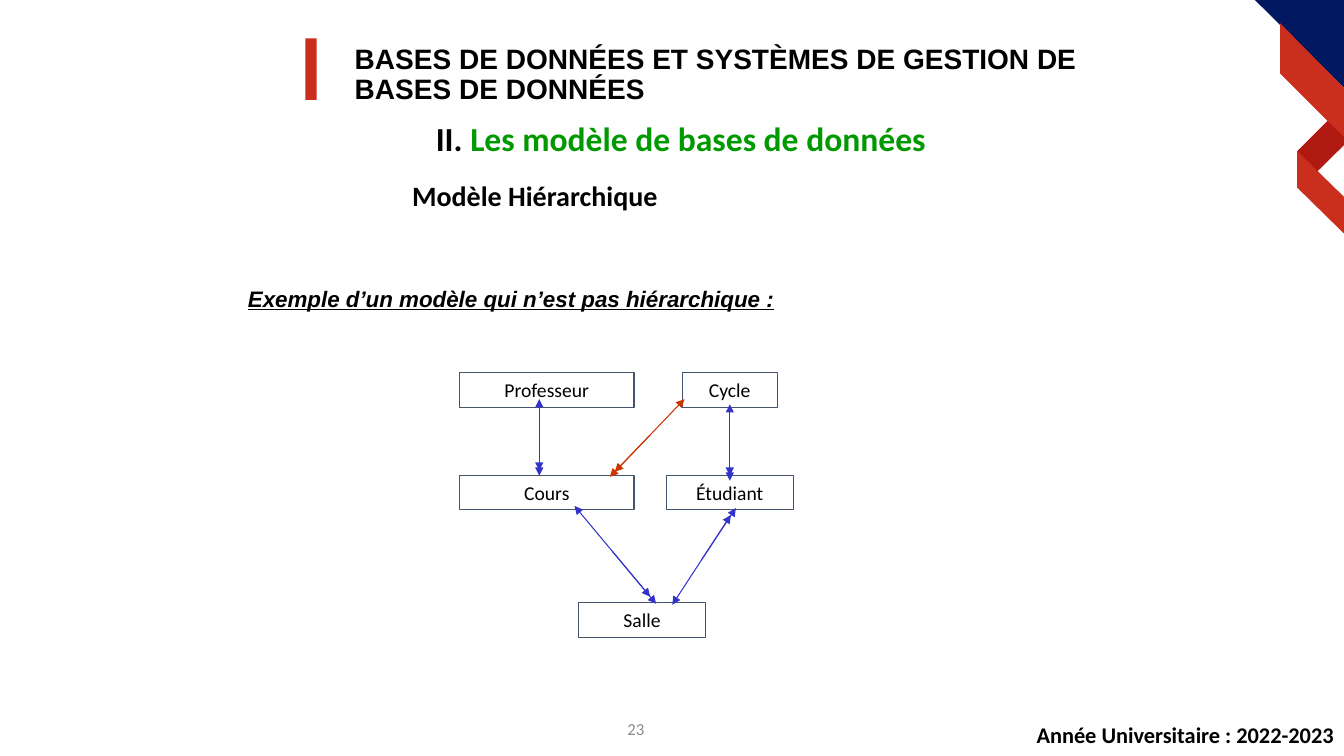
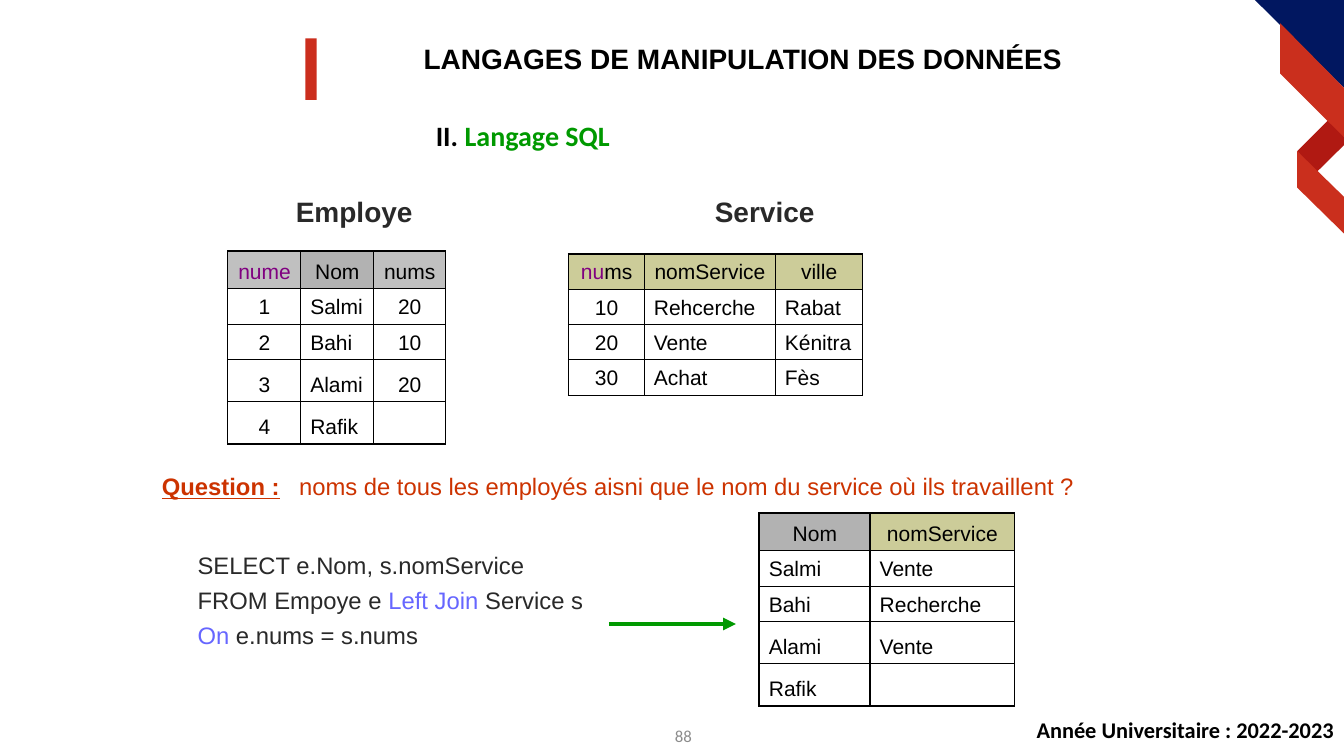
import pptx
import pptx.dml.color
import pptx.enum.shapes
import pptx.enum.text
import pptx.oxml
import pptx.oxml.ns
import pptx.util
from lxml import etree

Pt = pptx.util.Pt
ALIGN = pptx.enum.text.PP_ALIGN
ANCHOR = pptx.enum.text.MSO_ANCHOR

SLIDE_SIZE = (960, 540)
BLACK, GREY, GREEN, NAVY = "000000", "8C8C8C", "009900", "011760"
RED, BRIGHT_RED, DARK_RED = "CB2E1D", "CA2F1D", "B01912"
INK, ORANGE, BLUE, SLATE = "292929", "CC3300", "3333CC", "44546A"
PURPLE, KEYWORD = "800080", "6666FF"
SILVER, DARK_SILVER, KHAKI = "C0C0C0", "B2B2B2", "CCCC99"

TITLE = {"name": "Arial", "size": Pt(20), "bold": True, "color": BLACK}
SECTION = {"name": "Calibri", "size": Pt(24), "bold": True, "color": BLACK}
SUBHEADING = {**SECTION, "size": Pt(20)}
FOOTER = {**SECTION, "size": Pt(16)}
PAGE_NUMBER = {"name": "Calibri", "size": Pt(12), "color": GREY}
NODE = {"name": "Calibri", "size": Pt(14), "color": BLACK}
EXAMPLE = {**TITLE, "size": Pt(16), "italic": True, "underline": True}
TABLE_NAME = {**TITLE, "color": INK}
CELL = {"name": "Arial", "size": Pt(15), "color": BLACK}
QUERY = {"name": "Arial", "size": Pt(17), "color": INK}
QUESTION = {**QUERY, "color": ORANGE}

RIBBON = [
    (DARK_RED, [(949.7, 85), (960, 97.6), (960, 103.7), (939.6, 123.8), (926.6, 108)]),
    (NAVY, [(896.4, 0), (960, 0), (960, 62.8)]),
    (BRIGHT_RED, [(926.6, 108), (960, 140.6), (960, 166.8), (926.6, 134)]),
    (BRIGHT_RED, [(914.4, 16.6), (960, 62.8), (960, 98), (914.4, 52.6)]),
]


def rgb(color):
    return pptx.dml.color.RGBColor.from_string(color)


def points(*lengths):
    return [Pt(length) for length in lengths]


def set_font(font, style):
    for attribute, value in style.items():
        if attribute == "color":
            font.color.rgb = rgb(value)
        else:
            setattr(font, attribute, value)


def write(paragraph, runs, style, **layout):
    """Fill a paragraph with (text, style changes) runs."""
    for attribute, value in layout.items():
        setattr(paragraph, attribute, value)
    set_font(paragraph.font, style)
    for text, changes in runs:
        run = paragraph.add_run()
        run.text = text
        set_font(run.font, {**style, **changes})


def add_text(slide, box, runs, style, anchor=ANCHOR.TOP, **layout):
    frame = slide.shapes.add_textbox(*points(*box)).text_frame
    frame.word_wrap = True
    frame.vertical_anchor = anchor
    write(frame.paragraphs[0], runs, style, **layout)
    return frame


def fill_plain(shape, color):
    shape.shadow.inherit = False
    shape.fill.solid()
    shape.fill.fore_color.rgb = rgb(color)
    shape.line.fill.background()


def add_ribbon(slide):
    for color, corners in RIBBON:
        start, *others = [tuple(points(*corner)) for corner in corners]
        builder = slide.shapes.build_freeform(*start, scale=1.0)
        builder.add_line_segments(others, close=True)
        fill_plain(builder.convert_to_shape(), color)


def add_arrow(slide, start, end, color, width=0.75, double=False):
    arrow = slide.shapes.add_connector(
        pptx.enum.shapes.MSO_CONNECTOR.STRAIGHT, *points(*start, *end))
    arrow.line.color.rgb = rgb(color)
    arrow.line.width = Pt(width)
    line = arrow.line._get_or_add_ln()
    for tag in ["a:headEnd", "a:tailEnd"] if double else ["a:tailEnd"]:
        etree.SubElement(line, pptx.oxml.ns.qn(tag), type="triangle")
    etree.SubElement(arrow._element.spPr, pptx.oxml.ns.qn("a:effectLst"))


def add_frame(presentation, title, title_align, section, section_size,
              footer_top, number, number_position):
    """Start a slide with the title, section line, ribbon and footer."""
    slide = presentation.slides.add_slide(presentation.slide_layouts[5])
    add_ribbon(slide)
    bar = slide.shapes.add_shape(
        pptx.enum.shapes.MSO_SHAPE.RECTANGLE, *points(218.2, 27.4, 7.9, 43.9))
    fill_plain(bar, RED)

    heading = slide.shapes.title
    heading.left, heading.top, heading.width, heading.height = points(246.2, 28.8, 568.8, 46.8)
    frame = heading.text_frame
    frame.auto_size = pptx.enum.text.MSO_AUTO_SIZE.NONE
    frame.word_wrap = True
    frame.vertical_anchor = ANCHOR.TOP
    write(frame.paragraphs[0], [(title, {})], TITLE,
          alignment=title_align, line_spacing=0.9)

    add_text(slide, (304.2, 84.2, 560, 36), [("II. ", {}), (section, {"color": GREEN})],
             {**SECTION, "size": Pt(section_size)}, line_spacing=0.9)
    add_text(slide, (660, footer_top, 300, 26), [("Année Universitaire : 2022-2023", {})],
             FOOTER, alignment=ALIGN.RIGHT)
    add_text(slide, (*number_position, 216, 28.8), [(number, {})], PAGE_NUMBER,
             ANCHOR.MIDDLE, alignment=ALIGN.CENTER)
    return slide


def add_node(slide, name, left, top, width):
    node = slide.shapes.add_shape(
        pptx.enum.shapes.MSO_SHAPE.RECTANGLE, *points(left, top, width, 24.5))
    node.shadow.inherit = False
    node.fill.background()
    node.line.color.rgb = rgb(SLATE)
    node.line.width = Pt(0.75)
    frame = node.text_frame
    frame.margin_top = frame.margin_bottom = 0
    frame.vertical_anchor = ANCHOR.MIDDLE
    write(frame.paragraphs[0], [(name, {})], NODE, alignment=ALIGN.CENTER)


def add_link(slide, start, end, tip, color):
    """Two-way arrow whose far end carries a second arrowhead at tip."""
    middle = [(a + b) / 2 for a, b in zip(start, end)]
    add_arrow(slide, start, end, color, double=True)
    add_arrow(slide, middle, tip, color)


def add_diagram(slide, left, top):
    nodes = [
        ("Professeur", 0, 0, 124.6),
        ("Cycle", 159.1, 0, 67.7),
        ("Cours", 0, 73.4, 124.6),
        ("Étudiant", 147.6, 73.4, 90.7),
        ("Salle", 85, 164.2, 90.7),
    ]
    links = [
        ((56.9, 18.7), (56.9, 69.8), (56.9, 73.4), BLUE),
        ((151.9, 165.6), (193.7, 101.5), (197.3, 96.5), BLUE),
        ((82.1, 95), (136.1, 159.8), (140.4, 164.9), BLUE),
        ((193, 22.3), (193, 73.4), (193, 77), BLUE),
        ((160.6, 18.7), (110.9, 70.6), (107.3, 74.2), ORANGE),
    ]
    for name, x, y, width in nodes:
        add_node(slide, name, left + x, top + y, width)
    for *places, color in links:
        add_link(slide, *[(left + x, top + y) for x, y in places], color)


def set_borders(cell):
    properties = cell._tc.get_or_add_tcPr()
    for position, side in enumerate(["lnL", "lnR", "lnT", "lnB"]):
        border = pptx.oxml.parse_xml(
            f'<a:{side} {pptx.oxml.ns.nsdecls("a")} w="12700"><a:solidFill>'
            f'<a:srgbClr val="{BLACK}"/></a:solidFill></a:{side}>')
        properties.insert(position, border)


def add_table(slide, left, top, widths, heights, header, rows, centred=()):
    """Header cells are (fill, runs); centred lists the centred body columns."""
    table = slide.shapes.add_table(
        len(heights), len(widths),
        *points(left, top, sum(widths), sum(heights))).table
    for column, width in zip(table.columns, widths):
        column.width = Pt(width)
    for row, height in zip(table.rows, heights):
        row.height = Pt(height)
    body = [[(None, [(text, {})] if text else []) for text in row] for row in rows]
    for row_index, row in enumerate([header] + body):
        for column_index, (fill, runs) in enumerate(row):
            cell = table.cell(row_index, column_index)
            cell.margin_left, cell.margin_right = points(7, 6.5)
            cell.vertical_anchor = ANCHOR.BOTTOM
            if fill:
                cell.fill.solid()
                cell.fill.fore_color.rgb = rgb(fill)
            else:
                cell.fill.background()
            set_borders(cell)
            centre = row_index == 0 or column_index in centred
            write(cell.text_frame.paragraphs[0], runs, CELL,
                  alignment=ALIGN.CENTER if centre else ALIGN.LEFT)


def add_question(slide, left, top):
    frame = add_text(slide, (left, top, 686, 30), [], QUESTION)
    paragraph = frame.paragraphs[0]
    tabs = pptx.oxml.parse_xml(
        f'<a:tabLst {pptx.oxml.ns.nsdecls("a")}><a:tab pos="{Pt(98)}" algn="l"/></a:tabLst>')
    properties = paragraph._p.get_or_add_pPr()
    properties.insert(0, tabs)
    write(paragraph, [
        ("Question :", {"bold": True, "underline": True}),
        ("\tnoms de tous les employés aisni que le nom du service où ils travaillent ?", {}),
    ], QUESTION)


def add_query(slide, left, top):
    keyword = {"color": KEYWORD}
    first, *others = [
        [("SELECT e.Nom, s.nomService", {})],
        [("FROM Empoye e ", {}), ("Left Join", keyword), (" Service s", {})],
        [("On ", keyword), ("e.nums = s.nums", {})],
    ]
    frame = add_text(slide, (left, top, 317.5, 79.2), first, QUERY)
    for runs in others:
        write(frame.add_paragraph(), runs, QUERY, space_before=Pt(4.4))


def build_model_slide(presentation):
    slide = add_frame(
        presentation, "BASES DE DONNÉES ET SYSTÈMES DE GESTION DE BASES DE DONNÉES",
        ALIGN.LEFT, "Les modèle de bases de données", 24, 511.5, "23", (346.3, 506.2))
    add_text(slide, (287.3, 123.8, 260, 31.7), [("Modèle Hiérarchique", {})], SUBHEADING)
    add_text(slide, (170, 200, 600, 28),
             [("Exemple d’un modèle qui n’est pas hiérarchique :", {})], EXAMPLE)
    add_diagram(slide, 328.3, 266.4)


def build_query_slide(presentation):
    slide = add_frame(
        presentation, "LANGAGES DE MANIPULATION DES DONNÉES",
        ALIGN.CENTER, "Langage SQL", 20, 508, "88", (380.2, 511.2))
    for name, left in [("Employe", 204.2), ("Service", 503.5)]:
        add_text(slide, (left, 135.6, 150, 32), [(name, {})], TABLE_NAME)

    purple = {"color": PURPLE}
    name_header = (DARK_SILVER, [("Nom", {})])
    service_header = (KHAKI, [("nomService", {})])
    four_rows = [27, 25.2, 25.2, 30.2, 30.2]
    add_table(
        slide, 162.7, 179.3, [52, 52, 51.5], four_rows,
        [(SILVER, [("nume", purple)]), name_header, (SILVER, [("nums", {})])],
        [["1", "Salmi", "20"], ["2", "Bahi", "10"], ["3", "Alami", "20"], ["4", "Rafik", ""]],
        centred=(0, 2))
    add_table(
        slide, 406.1, 181.4, [54, 93.6, 62.4], [25.2] * 4,
        [(KHAKI, [("nu", purple), ("ms", {})]), service_header, (KHAKI, [("ville", {})])],
        [["10", "Rehcerche", "Rabat"], ["20", "Vente", "Kénitra"], ["30", "Achat", "Fès"]],
        centred=(0,))
    add_question(slide, 108.5, 333.7)
    add_query(slide, 134, 390)
    add_arrow(slide, (434.9, 445.7), (525.6, 445.7), GREEN, width=3)
    add_table(
        slide, 542.2, 366.5, [79.2, 103], four_rows, [name_header, service_header],
        [["Salmi", "Vente"], ["Bahi", "Recherche"], ["Alami", "Vente"], ["Rafik", ""]])


def main():
    presentation = pptx.Presentation()
    presentation.slide_width, presentation.slide_height = points(*SLIDE_SIZE)
    build_model_slide(presentation)
    build_query_slide(presentation)
    presentation.save("out.pptx")


if __name__ == "__main__":
    main()
